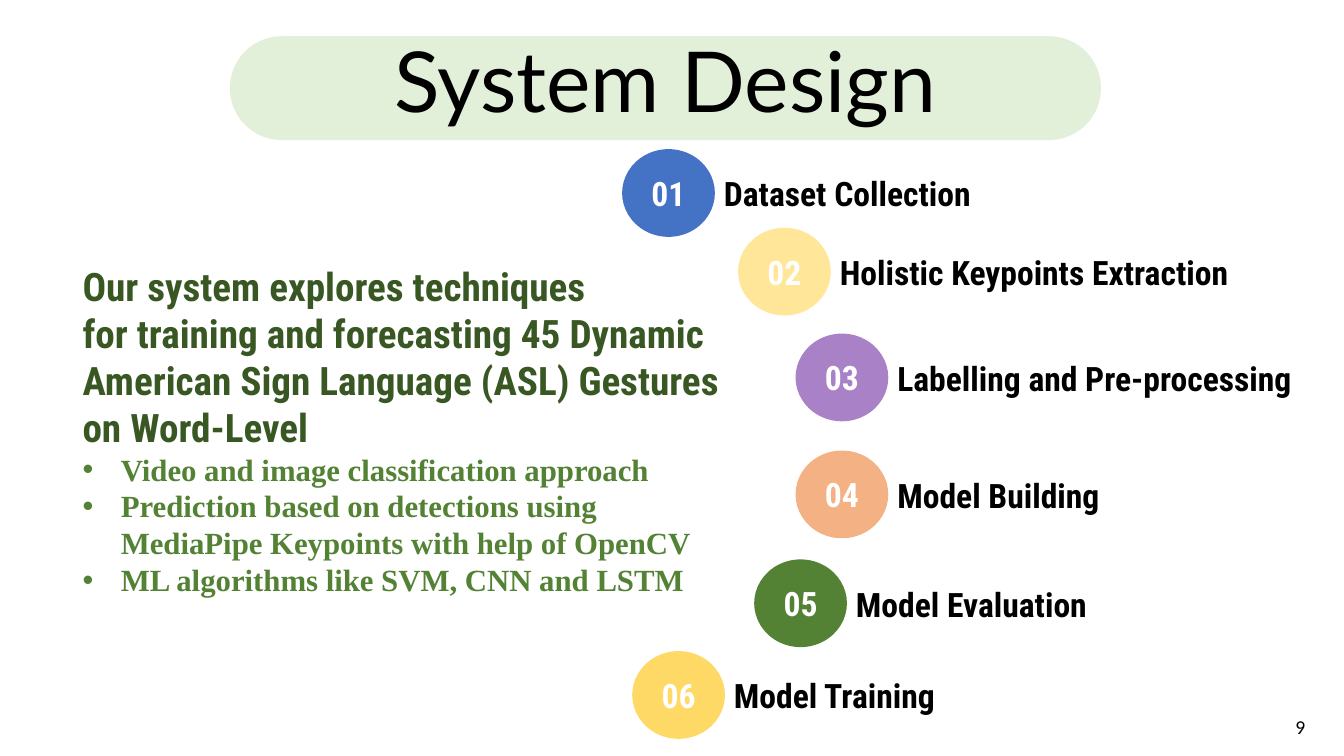
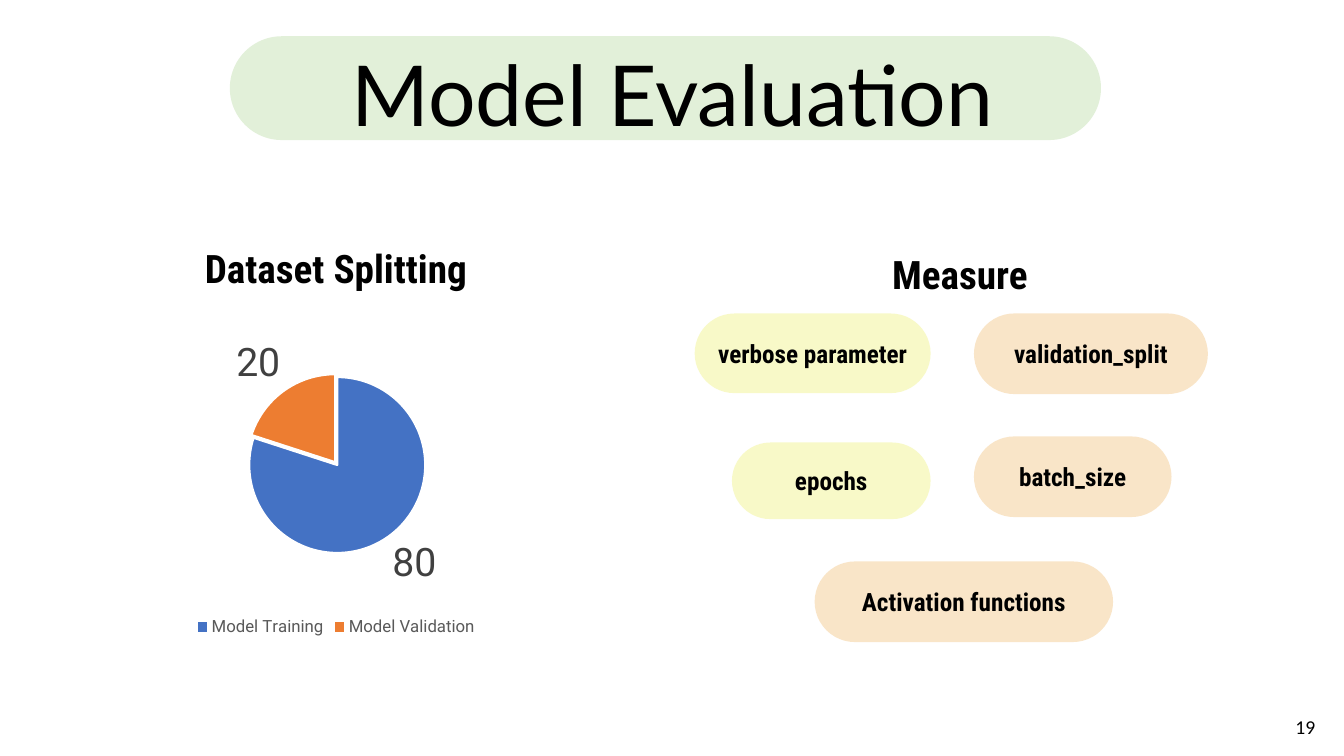
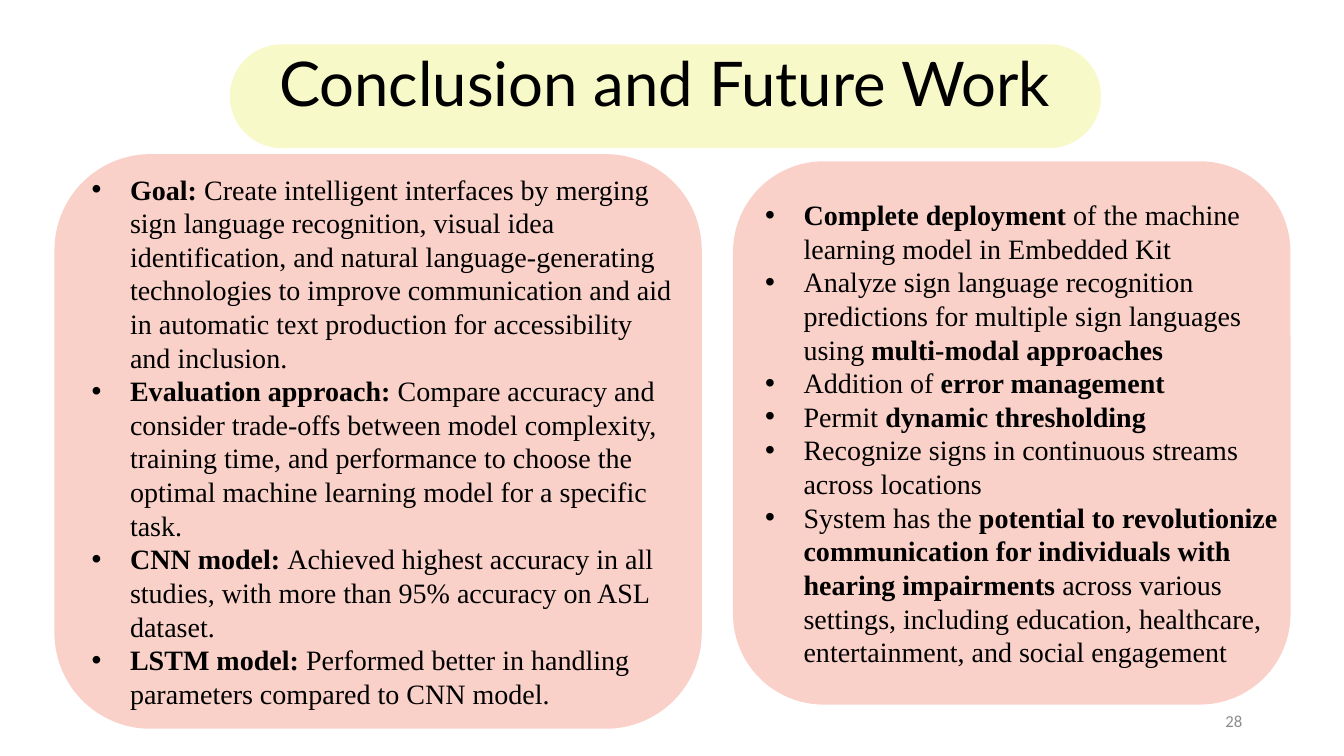
import pptx
import pptx.chart.data
import pptx.dml.color
import pptx.enum.chart
import pptx.enum.shapes
import pptx.enum.text
import pptx.oxml
import pptx.oxml.ns
import pptx.util
from lxml import etree

Inches = pptx.util.Inches
Pt = pptx.util.Pt
Shapes = pptx.enum.shapes.MSO_SHAPE
Align = pptx.enum.text.PP_ALIGN
Anchor = pptx.enum.text.MSO_ANCHOR
qn = pptx.oxml.ns.qn

# Shared style
BLACK, WHITE = "000000", "FFFFFF"
DARK_GREEN, GREEN, PALE_GREEN = "385723", "548235", "E2F0D9"
BLUE, ORANGE = "4472C4", "ED7D31"
YELLOW_TINT, ORANGE_TINT, RED_TINT = "E4EA27", "E99B27", "EA4827"
TITLE_FONT, LABEL_FONT = "Lato", "Roboto Condensed"
BODY_FONT, NUMBER_FONT, CHART_FONT = "Times New Roman", "Calibri", "Roboto"
TINT_ALPHA = 25
BULLET_INDENT = 0.38
BAND_LEFT, BAND_WIDTH, BAND_HEIGHT = 2.28, 8.64, 1.03


def color(value):
    return pptx.dml.color.RGBColor.from_string(value)


def write_text(shape, paragraphs, size=20, font=LABEL_FONT, text_color=BLACK,
               bold=False, align=Align.LEFT, bullet=False, spacing=None):
    """Append paragraphs; parts between ** marks are bold."""
    frame = shape.text_frame
    for text in paragraphs:
        paragraph = frame.paragraphs[0]
        if paragraph.runs:
            paragraph = frame.add_paragraph()
        paragraph.alignment = align
        if spacing:
            paragraph.line_spacing = spacing
        if bullet:
            properties = paragraph._p.get_or_add_pPr()
            properties.set("marL", str(Inches(BULLET_INDENT)))
            properties.set("indent", str(-Inches(BULLET_INDENT)))
            etree.SubElement(properties, qn("a:buFont")).set("typeface", "Arial")
            etree.SubElement(properties, qn("a:buChar")).set("char", "•")
        for index, part in enumerate(text.split("**")):
            if not part:
                continue
            run = paragraph.add_run()
            run.text = part
            run.font.size = Pt(size)
            run.font.name = font
            run.font.bold = bold or index % 2 == 1
            run.font.color.rgb = color(text_color)


def set_frame(shape, anchor, inset):
    frame = shape.text_frame
    frame.word_wrap = True
    frame.vertical_anchor = anchor
    frame.margin_left = frame.margin_right = Inches(inset)
    frame.margin_top = frame.margin_bottom = Inches(min(inset, 0.13))


def add_text(slide, box, paragraphs, anchor=Anchor.MIDDLE, inset=0.13, **style):
    shape = slide.shapes.add_textbox(*map(Inches, box))
    set_frame(shape, anchor, inset)
    if anchor == Anchor.TOP:
        shape.text_frame.margin_top = shape.text_frame.margin_bottom = Inches(0.05)
    write_text(shape, paragraphs, **style)
    return shape


def add_panel(slide, kind, box, fill, alpha=None, corner=None):
    shape = slide.shapes.add_shape(kind, *map(Inches, box))
    shape.shadow.inherit = False
    shape.fill.solid()
    shape.fill.fore_color.rgb = color(fill)
    shape.line.fill.background()
    if corner is not None:
        shape.adjustments[0] = corner
    if alpha is not None:
        value = shape._element.spPr.find(".//" + qn("a:srgbClr"))
        etree.SubElement(value, qn("a:alpha")).set("val", str(alpha * 1000))
    set_frame(shape, Anchor.MIDDLE, 0.1)
    return shape


def add_title(slide, text, box, band_top=0.36, fill=PALE_GREEN, alpha=None, size=60):
    add_panel(slide, Shapes.ROUNDED_RECTANGLE,
              (BAND_LEFT, band_top, BAND_WIDTH, BAND_HEIGHT), fill, alpha, 0.5)
    add_text(slide, box, [text], size=size, font=TITLE_FONT,
             align=Align.CENTER, spacing=0.9)


def add_page_number(slide, number):
    add_text(slide, (12.75, 7.04, 0.58, 0.33), [number], anchor=Anchor.TOP,
             inset=0.1, size=14, font=NUMBER_FONT)


def add_step(slide, left, top, number, label, fill):
    circle = add_panel(slide, Shapes.OVAL, (left, top, 0.92, 0.87), fill)
    write_text(circle, [number], size=24, bold=True, text_color=WHITE,
               align=Align.CENTER)
    add_text(slide, (left + 0.88, top + 0.09, 4.37, 0.7), [label], size=24, bold=True)


def add_pill(slide, box, label, fill):
    pill = add_panel(slide, Shapes.ROUNDED_RECTANGLE, box, fill, TINT_ALPHA, 0.5)
    write_text(pill, [label], size=18, bold=True, align=Align.CENTER)


def add_heading(slide, left, top, text):
    add_text(slide, (left, top, 5.8, 0.57), [text], anchor=Anchor.TOP, inset=0.1,
             size=28, bold=True, align=Align.CENTER)


def add_bullet_card(slide, card_box, text_box, bullets):
    add_panel(slide, Shapes.ROUNDED_RECTANGLE, card_box, RED_TINT, TINT_ALPHA, 0.167)
    add_text(slide, text_box, bullets, size=20, font=BODY_FONT, bullet=True)


def add_split_chart(slide, box):
    data = pptx.chart.data.CategoryChartData()
    data.categories = ["Model Training", "Model Validation"]
    data.add_series("Series 1", (80, 20))
    chart = slide.shapes.add_chart(pptx.enum.chart.XL_CHART_TYPE.PIE,
                                   *map(Inches, box), data).chart
    chart.has_title = False
    chart.font.name = CHART_FONT
    chart.font.size = Pt(12)
    chart.font.color.rgb = color("595959")
    chart.has_legend = True
    chart.legend.position = pptx.enum.chart.XL_LEGEND_POSITION.BOTTOM
    chart.legend.include_in_layout = False

    # Slices, set slightly apart
    plot = chart.plots[0]
    plot.vary_by_categories = True
    series = plot.series[0]
    series.format.line.color.rgb = color(WHITE)
    explosion = pptx.oxml.parse_xml(
        '<c:explosion xmlns:c="http://schemas.openxmlformats.org/drawingml/2006/chart"'
        ' val="2"/>')
    series._element.find(qn("c:spPr")).addnext(explosion)
    for index, fill in enumerate((BLUE, ORANGE)):
        slice_format = series.points[index].format
        slice_format.fill.solid()
        slice_format.fill.fore_color.rgb = color(fill)
        slice_format.line.color.rgb = color(WHITE)
        slice_format.line.width = Pt(1.5)

    # Value labels
    plot.has_data_labels = True
    labels = plot.data_labels
    labels.show_value = True
    labels.show_percentage = False
    labels.position = pptx.enum.chart.XL_LABEL_POSITION.OUTSIDE_END
    labels.font.size = Pt(28)
    labels.font.name = CHART_FONT
    labels.font.color.rgb = color("404040")

    # Plot area as fractions of the chart
    plot_area = chart._chartSpace.chart.plotArea
    for old_layout in plot_area.findall(qn("c:layout")):
        plot_area.remove(old_layout)
    layout = etree.Element(qn("c:layout"))
    manual = etree.SubElement(layout, qn("c:manualLayout"))
    for name, value in (("layoutTarget", "inner"), ("xMode", "edge"),
                        ("yMode", "edge"), ("x", "0.27"), ("y", "0.17"),
                        ("w", "0.46"), ("h", "0.56")):
        etree.SubElement(manual, qn("c:" + name)).set("val", value)
    plot_area.insert(0, layout)


def build_system_design(slide):
    add_title(slide, "System Design", (0.6, 0.38, 12, 0.93))

    # Curve of numbered steps
    steps = [
        (6.17, 1.48, "Dataset Collection", BLUE),
        (7.32, 2.26, "Holistic Keypoints Extraction", "FFE699"),
        (7.89, 3.31, "Labelling and Pre-processing", "A981C7"),
        (7.89, 4.47, "Model Building", "F4B183"),
        (7.48, 5.55, "Model Evaluation", GREEN),
        (6.27, 6.46, "Model Training", "FFD966"),
    ]
    for index, (left, top, label, fill) in enumerate(steps, 1):
        add_step(slide, left, top, f"{index:02}", label, fill)

    # Summary
    summary = add_text(slide, (0.72, 2.55, 6.62, 3.47), [
        "Our system explores techniques",
        "for training and forecasting 45 Dynamic American Sign Language (ASL) "
        "Gestures on Word-Level",
    ], anchor=Anchor.TOP, inset=0.1, size=28, bold=True, text_color=DARK_GREEN)
    write_text(summary, [
        "Video and image classification approach",
        "Prediction based on detections using MediaPipe Keypoints with help of OpenCV",
        "ML algorithms like SVM, CNN and LSTM",
    ], size=22, font=BODY_FONT, bold=True, text_color=GREEN, bullet=True)
    add_page_number(slide, "9")


def build_model_evaluation(slide):
    add_title(slide, "Model Evaluation", (0.92, 0.47, 11.5, 1.02))

    # Dataset split
    add_heading(slide, 0.43, 2.37, "Dataset Splitting")
    add_split_chart(slide, (1.4, 3.16, 3.87, 3.2))

    # Measures
    add_heading(slide, 6.62, 2.43, "Measure")
    for box, label, fill in (
            ((6.89, 3.11, 2.34, 0.79), "verbose parameter", YELLOW_TINT),
            ((9.66, 3.11, 2.32, 0.8), "validation_split", ORANGE_TINT),
            ((7.26, 4.39, 1.97, 0.76), "epochs", YELLOW_TINT),
            ((9.66, 4.33, 1.96, 0.8), "batch_size", ORANGE_TINT),
            ((8.08, 5.57, 2.96, 0.8), "Activation functions", ORANGE_TINT)):
        add_pill(slide, box, label, fill)
    add_page_number(slide, "19")


def build_conclusion(slide):
    add_text(slide, (9.42, 6.95, 3, 0.4), ["28"], inset=0.1, size=12,
             font=NUMBER_FONT, text_color="8C8C8C", align=Align.RIGHT)

    # Conclusion
    add_bullet_card(slide, (0.54, 1.53, 6.42, 5.7), (0.78, 2.14, 6.09, 4.47), [
        "**Goal:** Create intelligent interfaces by merging sign language recognition, "
        "visual idea identification, and natural language-generating technologies to "
        "improve communication and aid in automatic text production for accessibility "
        "and inclusion.",
        "**Evaluation approach:** Compare accuracy and consider trade-offs between model "
        "complexity, training time, and performance to choose the optimal machine "
        "learning model for a specific task.",
        "**CNN model: **Achieved highest accuracy in all studies, with more than 95% "
        "accuracy on ASL dataset.",
        "**LSTM model:** Performed better in handling parameters compared to CNN model.",
    ])

    # Future work
    add_bullet_card(slide, (7.27, 1.6, 5.53, 5.39), (7.46, 2, 5.35, 4.59), [
        "**Complete deployment** of the machine learning model in Embedded Kit",
        "Analyze sign language recognition predictions for multiple sign languages "
        "using **multi-modal approaches**",
        "Addition of** error management**",
        "Permit **dynamic thresholding**",
        "Recognize signs in continuous streams across locations",
        "System has the **potential to revolutionize communication for individuals with "
        "hearing impairments **across various settings, including education, healthcare, "
        "entertainment, and social engagement",
    ])
    add_title(slide, "Conclusion and Future Work", (1.65, 0.12, 9.89, 1.48),
              band_top=0.44, fill=YELLOW_TINT, alpha=TINT_ALPHA, size=44)


def main():
    presentation = pptx.Presentation()
    presentation.slide_width = Inches(13.33)
    presentation.slide_height = Inches(7.5)
    for build in (build_system_design, build_model_evaluation, build_conclusion):
        build(presentation.slides.add_slide(presentation.slide_layouts[6]))
    presentation.save("out.pptx")


if __name__ == "__main__":
    main()
